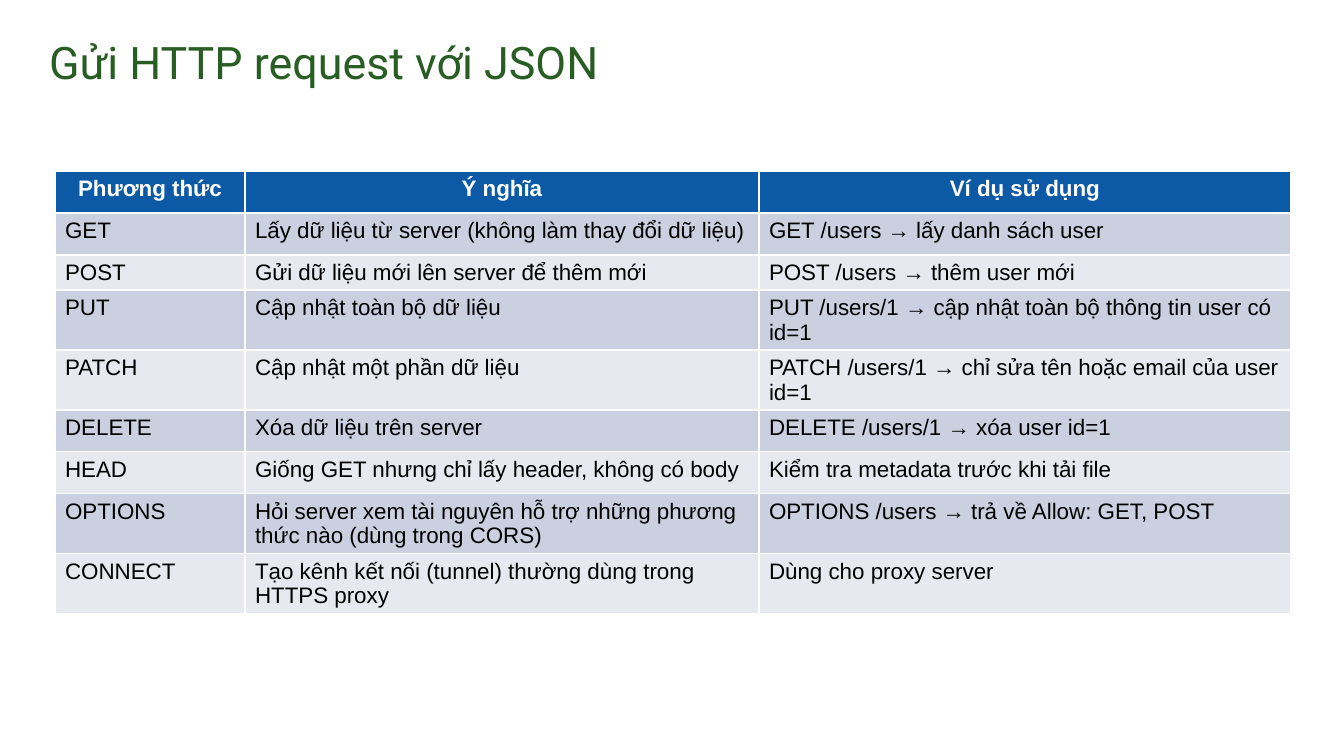
from pptx import Presentation
from pptx.dml.color import RGBColor
from pptx.enum.text import MSO_ANCHOR as Anchor, MSO_AUTO_SIZE as AutoSize, PP_ALIGN as Align
from pptx.util import Pt

TITLE = "Gửi HTTP request với JSON"
HEADINGS = ("Phương thức", "Ý nghĩa", "Ví dụ sử dụng")
METHODS = [
    ("GET", "Lấy dữ liệu từ server (không làm thay đổi dữ liệu)", "GET /users → lấy danh sách user"),
    ("POST", "Gửi dữ liệu mới lên server để thêm mới", "POST /users → thêm user mới"),
    ("PUT", "Cập nhật toàn bộ dữ liệu", "PUT /users/1 → cập nhật toàn bộ thông tin user có id=1"),
    ("PATCH", "Cập nhật một phần dữ liệu", "PATCH /users/1 → chỉ sửa tên hoặc email của user id=1"),
    ("DELETE", "Xóa dữ liệu trên server", "DELETE /users/1 → xóa user id=1"),
    ("HEAD", "Giống GET nhưng chỉ lấy header, không có body", "Kiểm tra metadata trước khi tải file"),
    ("OPTIONS", "Hỏi server xem tài nguyên hỗ trợ những phương thức nào (dùng trong CORS)",
     "OPTIONS /users → trả về Allow: GET, POST"),
    ("CONNECT", "Tạo kênh kết nối (tunnel) thường dùng trong HTTPS proxy", "Dùng cho proxy server"),
]
COLUMN_WIDTHS = (190, 514, 532)
ROW_HEIGHTS = (42, 42, 35, 60, 60, 42, 42, 60, 60)
HEADING_FILL = "0C5AA6"
BAND_FILLS = ("E6E9F0", "CAD0E0")


def px(length):
    return round(length * 914400 / 100.8)


def color(value):
    return RGBColor.from_string(value)


def set_font(paragraph, name, size, text_color, bold=False):
    font = paragraph.font
    font.name = name
    font.size = Pt(size)
    font.bold = bold
    font.color.rgb = color(text_color)


def add_title(slide):
    title = slide.shapes.title
    title.left, title.top, title.width, title.height = map(px, (44, 28, 1210, 68))
    frame = title.text_frame
    frame.text = TITLE
    frame.word_wrap = True
    frame.auto_size = AutoSize.NONE
    frame.vertical_anchor = Anchor.MIDDLE
    frame.margin_left = frame.margin_right = frame.margin_top = frame.margin_bottom = px(5)
    heading = frame.paragraphs[0]
    heading.alignment = Align.LEFT
    set_font(heading, "Roboto", 32, "285D23")


def add_methods(slide):
    rows = [HEADINGS, *METHODS]
    methods = slide.shapes.add_table(
        len(rows), len(HEADINGS), px(55), px(171), px(sum(COLUMN_WIDTHS)), px(sum(ROW_HEIGHTS))
    ).table
    for column, width in zip(methods.columns, COLUMN_WIDTHS):
        column.width = px(width)
    for row_index, (row, height) in enumerate(zip(rows, ROW_HEIGHTS)):
        methods.rows[row_index].height = px(height)
        is_heading = row_index == 0
        for column_index, text in enumerate(row):
            cell = methods.cell(row_index, column_index)
            cell.text = text
            cell.fill.solid()
            cell.fill.fore_color.rgb = color(HEADING_FILL if is_heading else BAND_FILLS[row_index % 2])
            paragraph = cell.text_frame.paragraphs[0]
            paragraph.alignment = Align.CENTER if is_heading else Align.LEFT
            set_font(paragraph, "Arial", 16, "FFFFFF" if is_heading else "000000", is_heading)


def main():
    deck = Presentation()
    deck.slide_width, deck.slide_height = px(1344), px(756)
    slide = deck.slides.add_slide(deck.slide_layouts[5])
    add_title(slide)
    add_methods(slide)
    deck.save("out.pptx")


if __name__ == "__main__":
    main()
